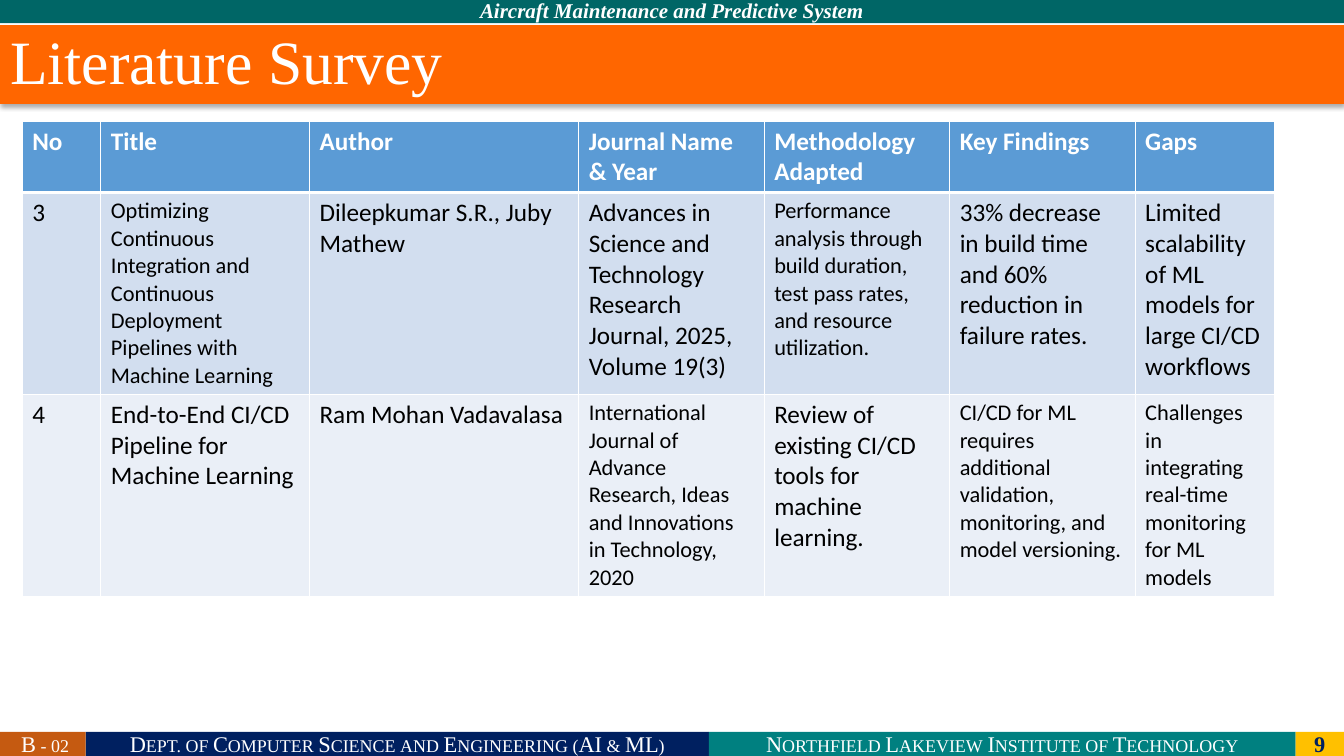
from lxml.etree import SubElement
from pptx import Presentation
from pptx.dml.color import RGBColor
from pptx.enum.shapes import MSO_SHAPE
from pptx.enum.text import MSO_ANCHOR, MSO_AUTO_SIZE, PP_ALIGN
from pptx.oxml import parse_xml
from pptx.oxml.ns import nsdecls, qn
from pptx.util import Inches, Pt


def paint(fill, color):
    fill.solid()
    fill.fore_color.rgb = RGBColor.from_string(color)


def format_text(para, size, color, name="Times New Roman", bold=False, italic=False):
    for span in para.runs:
        span.font.name = name
        span.font.size = Pt(size)
        span.font.bold = bold
        span.font.italic = italic
        paint(span.font.fill, color)


deck = Presentation()
deck.slide_width = Inches(13.33)
deck.slide_height = Inches(7.5)
page = deck.slides.add_slide(deck.slide_layouts[5])

bars = [
    ("Dept. of Computer Science and Engineering (AI & ML)", 0.85, 7.26, 6.18, 0.24, "002060", 16, "FFFFFF", "small"),
    ("Northfield Lakeview Institute of Technology", 7.03, 7.26, 5.82, 0.24, "008080", 16, "FFFFFF", "small"),
    ("9", 12.85, 7.26, 0.48, 0.24, "FFC000", 16, "002060", "bold"),
    ("Aircraft Maintenance and Predictive System", 0, -0.02, 13.33, 0.25, "006666", 15, "FFFFFF", "bold italic"),
    (" B - 02", 0, 7.26, 0.85, 0.24, "C55A11", 16, "FFFFFF", "small"),
]
for text, left, top, width, height, color, size, ink, style in bars:
    bar = page.shapes.add_shape(
        MSO_SHAPE.RECTANGLE, Inches(left), Inches(top), Inches(width), Inches(height)
    )
    bar.shadow.inherit = False
    bar.line.fill.background()
    paint(bar.fill, color)
    bar.text_frame.text = text
    bar.text_frame.vertical_anchor = MSO_ANCHOR.MIDDLE
    para = bar.text_frame.paragraphs[0]
    para.alignment = PP_ALIGN.CENTER
    format_text(para, size, ink, bold="bold" in style, italic="italic" in style)
    if style == "small":
        para.runs[0]._r.get_or_add_rPr().set("cap", "small")

title = page.shapes.title
title.left, title.top = Inches(0), Inches(0.25)
title.width, title.height = Inches(13.33), Inches(0.78)
paint(title.fill, "FF6600")
title.text_frame.text = "Literature Survey"
title.text_frame.auto_size = MSO_AUTO_SIZE.NONE
title.text_frame.vertical_anchor = MSO_ANCHOR.MIDDLE
heading = title.text_frame.paragraphs[0]
heading.alignment = PP_ALIGN.LEFT
heading.line_spacing = 0.9
format_text(heading, 44, "FFFFFF")
title._element.spPr.append(parse_xml(
    f'<a:effectLst {nsdecls("a")}>'
    f'<a:outerShdw blurRad="{Pt(3.5)}" dist="{Pt(2.2)}" dir="5400000" algn="t" rotWithShape="0">'
    '<a:srgbClr val="000000"><a:alpha val="32000"/></a:srgbClr>'
    '</a:outerShdw></a:effectLst>'
))

survey = [
    [("No", 18), ("Title", 18), ("Author", 18), ("Journal Name\n& Year", 18),
     ("Methodology\nAdapted", 18), ("Key Findings", 18), ("Gaps", 18)],
    [("3", 18),
     ("Optimizing Continuous Integration and Continuous Deployment Pipelines with Machine Learning", 16),
     ("Dileepkumar S.R., Juby Mathew", 18),
     ("Advances in Science and Technology Research Journal, 2025, Volume 19(3)", 18),
     ("Performance analysis through build duration, test pass rates, and resource utilization.", 16),
     ("33% decrease in build time and 60% reduction in failure rates.", 18),
     ("Limited scalability of ML models for large CI/CD workflows", 18)],
    [("4", 18),
     ("End-to-End CI/CD Pipeline for Machine Learning", 18),
     ("Ram Mohan Vadavalasa", 18),
     ("International Journal of Advance Research, Ideas and Innovations in Technology, 2020", 16),
     ("Review of existing CI/CD tools for machine learning.", 18),
     ("CI/CD for ML requires additional validation, monitoring, and model versioning.", 16),
     ("Challenges in integrating real-time monitoring for ML models", 16)],
]
column_widths = [0.78, 2.07, 2.67, 1.84, 1.84, 1.84, 1.38]
row_heights = [0.62, 1.97, 1.73]
row_fills = ["5B9BD5", "D2DEEF", "EAEFF7"]

table = page.shapes.add_table(
    len(survey), len(column_widths), Inches(0.22), Inches(1.2),
    Inches(sum(column_widths)), Inches(sum(row_heights))
).table
for column, width in zip(table.columns, column_widths):
    column.width = Inches(width)
for row, height in zip(table.rows, row_heights):
    row.height = Inches(height)

for row_index, entries in enumerate(survey):
    is_header = row_index == 0
    for column_index, (text, size) in enumerate(entries):
        cell = table.cell(row_index, column_index)
        properties = cell._tc.get_or_add_tcPr()
        for side in "LRTB":
            under_header = (row_index, side) in [(0, "B"), (1, "T")]
            border = SubElement(properties, qn(f"a:ln{side}"), w=str(Pt(3 if under_header else 1)))
            solid = SubElement(border, qn("a:solidFill"))
            SubElement(solid, qn("a:srgbClr"), val="FFFFFF")
        paint(cell.fill, row_fills[row_index])
        cell.text_frame.text = text
        for para in cell.text_frame.paragraphs:
            format_text(para, size, "FFFFFF" if is_header else "000000", "Calibri", bold=is_header)

deck.save("out.pptx")
